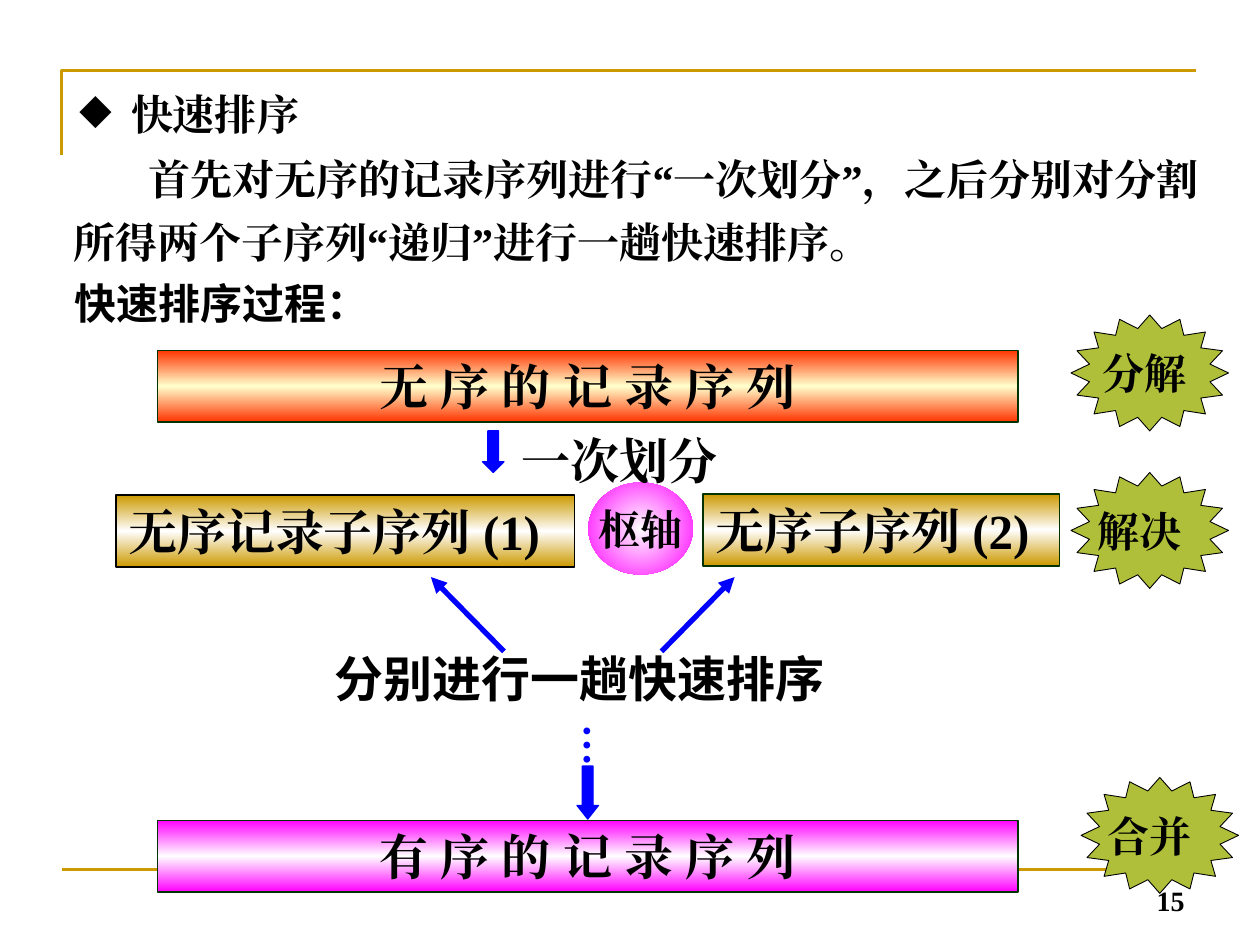
from dataclasses import dataclass

from lxml import etree
from pptx import Presentation
from pptx import util as u
from pptx.dml.color import RGBColor
from pptx.enum import shapes, text
from pptx.oxml import ns

Inches = u.Inches


@dataclass(frozen=True)
class Theme:
    ink: str = "000000"
    gold: str = "CC9900"
    edge: str = "003300"
    blue: str = "0000FF"
    white: str = "FFFFFF"
    red: str = "FF3300"
    cream: str = "FFFFCC"
    magenta: str = "FF00FF"
    olive: str = "AFBF39"
    serif: str = "Times New Roman"
    sans: str = "Noto Sans CJK SC"
    sans_wide: str = "Noto Sans CJK JP"
    body: int = 24
    label: int = 28
    number: int = 16


THEME = Theme()


def box(left, top, width, height):
    return tuple(Inches(value) for value in (left, top, width, height))


def add_element(parent, tag, **attributes):
    return etree.SubElement(parent, ns.qn(tag), attributes)


def write(shape, words, size=THEME.body, face=THEME.serif, color=THEME.ink,
          align=text.PP_ALIGN.LEFT, anchor=text.MSO_ANCHOR.TOP, wrap=True,
          spacing=1.0, margin=0, indent=0, bullet=None):
    """Fill a shape with one bold paragraph."""
    frame = shape.text_frame
    frame.word_wrap = wrap
    frame.auto_size = text.MSO_AUTO_SIZE.NONE
    frame.vertical_anchor = anchor
    paragraph = frame.paragraphs[0]
    paragraph.text = words
    paragraph.alignment = align
    paragraph.line_spacing = spacing
    paragraph.space_before = u.Pt(0)
    properties = paragraph._p.get_or_add_pPr()
    properties.set("marL", str(Inches(margin)))
    properties.set("indent", str(Inches(indent)))
    if bullet:
        add_element(properties, "a:buChar", char=bullet)
    else:
        add_element(properties, "a:buNone")
    font = paragraph.font
    font.size, font.bold, font.name = u.Pt(size), True, face
    font.color.rgb = RGBColor.from_string(color)
    add_element(font._element, "a:ea", typeface=face)


def set_line(line, color, width):
    line.color.rgb = RGBColor.from_string(color)
    line.width = u.Pt(width)


def add_solid(slide, kind, area, fill, line, width):
    shape = slide.shapes.add_shape(kind, *area)
    shape.shadow.inherit = False
    shape.fill.solid()
    shape.fill.fore_color.rgb = RGBColor.from_string(fill)
    set_line(shape.line, line, width)
    return shape


def set_gradient(shape, colors, radial=False):
    """Spread the colours evenly, top to bottom or from the centre out."""
    shape.fill.gradient()
    gradient = shape._element.spPr.find(ns.qn("a:gradFill"))
    for child in list(gradient):
        gradient.remove(child)
    stops = add_element(gradient, "a:gsLst")
    for index, color in enumerate(colors):
        stop = add_element(stops, "a:gs", pos=str(100000 * index // (len(colors) - 1)))
        add_element(stop, "a:srgbClr", val=color)
    if radial:
        center = add_element(gradient, "a:path", path="circle")
        add_element(center, "a:fillToRect", l="50000", t="50000", r="50000", b="50000")
    else:
        add_element(gradient, "a:lin", ang="5400000", scaled="0")


def add_label(slide, area, words, **style):
    label = slide.shapes.add_textbox(*area)
    write(label, words, **style)
    return label


def add_line(slide, start, end, color, width, arrow=False):
    line = slide.shapes.add_connector(
        shapes.MSO_CONNECTOR.STRAIGHT, *(Inches(value) for value in start + end))
    set_line(line.line, color, width)
    if arrow:
        add_element(line.line._get_or_add_ln(), "a:tailEnd", type="triangle")
    add_element(line._element.spPr, "a:effectLst")


def add_bar(slide, area, words, colors, line=THEME.edge, width=0.75,
            align=text.PP_ALIGN.CENTER):
    bar = slide.shapes.add_shape(shapes.MSO_SHAPE.RECTANGLE, *area)
    bar.shadow.inherit = False
    set_gradient(bar, colors)
    set_line(bar.line, line, width)
    write(bar, words, THEME.label, align=align)


def add_down_arrow(slide, area, head):
    arrow = add_solid(slide, shapes.MSO_SHAPE.DOWN_ARROW, area, THEME.blue, THEME.blue, 0.75)
    arrow.adjustments[1] = head


def add_burst(slide, area, words, shift):
    """Star whose label sits slightly left of the centre."""
    burst = add_solid(slide, shapes.MSO_SHAPE.STAR_16_POINT, area, THEME.olive, THEME.ink, 0.5)
    burst.adjustments[0] = 0.39
    write(burst, words, align=text.PP_ALIGN.CENTER, anchor=text.MSO_ANCHOR.MIDDLE, wrap=False)
    burst.text_frame.margin_right = Inches(0.1 + 2 * shift)


def add_frame(slide, left, top, right, bottom):
    """Corner bracket at the top and rule at the foot."""
    builder = slide.shapes.build_freeform(Inches(left), Inches(top + 0.67))
    builder.add_line_segments(
        [(Inches(left), Inches(top)), (Inches(right), Inches(top))], close=False)
    corner = builder.convert_to_shape()
    corner.shadow.inherit = False
    corner.fill.background()
    set_line(corner.line, THEME.gold, 1.5)
    add_line(slide, (left, bottom), (right, bottom), THEME.gold, 1.5)


def add_introduction(slide, left, top, width):
    """Heading, explanation and lead-in to the diagram."""
    title, body = slide.placeholders
    parts = (
        (title, (left + 0.05, top, 2.09, 0.5), "快速排序",
         dict(wrap=False, margin=0.41, indent=-0.41, bullet="◆")),
        (body, (left, top + 0.42, width, 1.1),
         "首先对无序的记录序列进行“一次划分”，之后分别对分割所得两个子序列“递归”进行一趟快速排序。",
         dict(spacing=1.25, indent=0.6)),
    )
    for holder, area, words, style in parts:
        holder.left, holder.top, holder.width, holder.height = box(*area)
        write(holder, words, **style)
    add_label(slide, box(left + 0.01, top + 1.5, 3.33, 0.5), "快速排序过程：", face=THEME.sans)


def add_diagram(slide, left, top, width):
    """Quicksort steps from the unsorted bar down to the sorted bar."""
    bar_height = 0.57
    golds = (THEME.gold, THEME.white, THEME.gold)
    add_bar(slide, box(left, top, width, bar_height), "无 序 的 记 录 序 列",
            (THEME.red, THEME.cream, THEME.red))

    # Partition into two parts around the pivot
    add_bar(slide, box(left - 0.33, top + 1.15, 3.64, bar_height), "无序记录子序列 (1)",
            golds, THEME.ink, 1, text.PP_ALIGN.LEFT)
    add_bar(slide, box(left + 4.33, top + 1.14, 2.83, bar_height), "无序子序列 (2)",
            golds, THEME.edge, 1, text.PP_ALIGN.LEFT)
    pivot = slide.shapes.add_shape(
        shapes.MSO_SHAPE.OVAL, *box(left + 3.42, top + 1.05, 0.83, 0.73))
    pivot.shadow.inherit = False
    set_gradient(pivot, (THEME.white, THEME.magenta), radial=True)
    pivot.line.fill.background()
    write(pivot, "枢轴", align=text.PP_ALIGN.CENTER, anchor=text.MSO_ANCHOR.MIDDLE, wrap=False)
    add_down_arrow(slide, box(left + 2.58, top + 0.64, 0.17, 0.33), 0.5)
    add_label(slide, box(left + 2.79, top + 0.75, 1.95, 0.38), "一次划分",
              size=THEME.label, wrap=False, spacing=0.6)

    # Recursion on both parts
    for start, end in ((2.75, 2.17), (4, 4.58)):
        add_line(slide, (left + start, top + 2.39), (left + end, top + 1.8),
                 THEME.blue, 3, arrow=True)
    add_label(slide, box(left + 1.31, top + 2.32, 4.17, bar_height), "分别进行一趟快速排序",
              size=THEME.label, face=THEME.sans_wide, wrap=False)

    # Sorted result
    add_bar(slide, box(left, top + 3.73, width, bar_height), "有 序 的 记 录 序 列",
            (THEME.magenta, THEME.white, THEME.magenta))
    add_down_arrow(slide, box(left + 3.33, top + 3.3, 0.17, 0.42), 0.63)
    dots = add_label(slide, box(left + 3.17, top + 2.87, 0.7, 0.52), "…",
                     color=THEME.blue, wrap=False, spacing=1.25)
    frame = dots.text_frame
    frame._txBody.bodyPr.set("vert", "eaVert")
    frame.margin_left = frame.margin_right = Inches(0.05)
    frame.margin_top = frame.margin_bottom = Inches(0.1)


def main():
    presentation = Presentation()
    presentation.slide_width, presentation.slide_height = Inches(10), Inches(7.5)
    slide = presentation.slides.add_slide(presentation.slide_layouts[1])
    add_frame(slide, 0.49, 0.56, 9.49, 6.9)
    add_introduction(slide, 0.48, 0.65, 9.4)
    add_diagram(slide, 1.25, 2.78, 6.83)
    # Stage names
    for left, top, words, shift in (
            (8.5, 2.5, "分解", 0.04), (8.5, 3.75, "解决", 0.08), (8.58, 6.17, "合并", 0.08)):
        add_burst(slide, box(left, top, 1.25, 0.92), words, shift)
    add_label(slide, box(7.17, 6.83, 2.33, 0.5), "15", size=THEME.number,
              align=text.PP_ALIGN.RIGHT, anchor=text.MSO_ANCHOR.BOTTOM)
    presentation.save("out.pptx")


if __name__ == "__main__":
    main()
